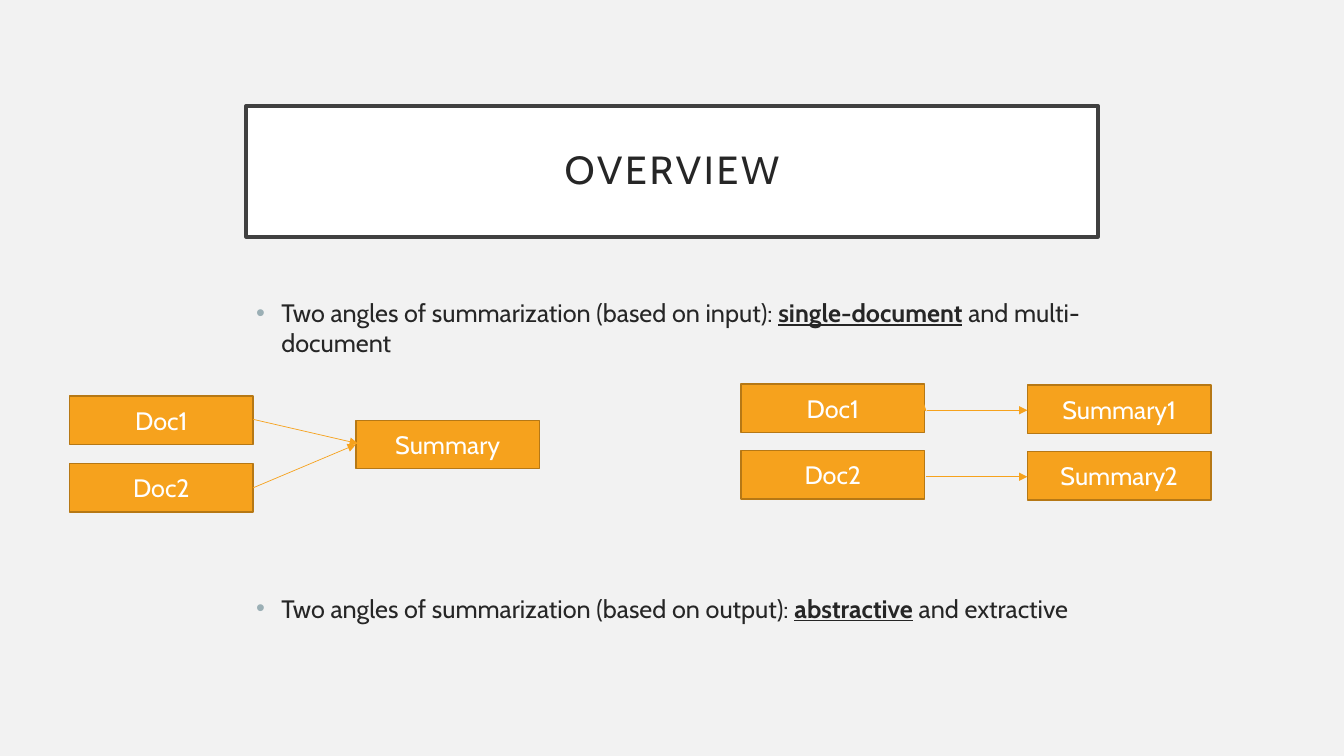
from dataclasses import dataclass

from lxml import etree
from pptx import Presentation
from pptx import util as u
from pptx.dml.color import RGBColor
from pptx.enum import shapes, text
from pptx.oxml import ns


@dataclass(frozen=True)
class Theme:
    font: str = "Cabin"
    background: str = "F2F2F2"
    panel: str = "FFFFFF"
    frame: str = "404040"
    ink: str = "262626"
    bullet: str = "9BAFB5"
    accent: str = "F6A21D"
    accent_edge: str = "B67815"
    box_text: str = "FFFFFF"
    title_size: int = 28
    text_size: int = 18


THEME = Theme()
BOX_WIDTH, BOX_HEIGHT = 1.82, 0.48


def rgb(value):
    return RGBColor.from_string(value)


def place(shape, left, top, width, height):
    shape.left, shape.top = u.Inches(left), u.Inches(top)
    shape.width, shape.height = u.Inches(width), u.Inches(height)


def paint(shape, fill, line, line_width):
    shape.fill.solid()
    shape.fill.fore_color.rgb = rgb(fill)
    shape.line.color.rgb = rgb(line)
    shape.line.width = u.Pt(line_width)


def add_run(paragraph, words, size, color, strong=False):
    run = paragraph.add_run()
    run.text = words
    run.font.name = THEME.font
    run.font.size = u.Pt(size)
    run.font.color.rgb = rgb(color)
    run.font.bold = run.font.underline = strong
    return run


def set_title(slide, words):
    title = slide.shapes.title
    place(title, 2.44, 1.05, 8.45, 1.3)
    paint(title, THEME.panel, THEME.frame, 2.5)
    frame = title.text_frame
    frame.auto_size = text.MSO_AUTO_SIZE.NONE
    frame.vertical_anchor = text.MSO_ANCHOR.MIDDLE
    frame.margin_left = frame.margin_right = u.Inches(0.2)
    frame.margin_top = frame.margin_bottom = u.Inches(0.2)
    paragraph = frame.paragraphs[0]
    paragraph.alignment = text.PP_ALIGN.CENTER
    paragraph.line_spacing = 0.9
    run = add_run(paragraph, words, THEME.title_size, THEME.ink)
    run.font._element.set("spc", "200")


def set_bullet(paragraph):
    properties = paragraph._p.get_or_add_pPr()
    properties.set("marL", str(u.Inches(0.25)))
    properties.set("indent", str(u.Inches(-0.25)))
    color = etree.SubElement(properties, ns.qn("a:buClr"))
    etree.SubElement(color, ns.qn("a:srgbClr"), val=THEME.bullet)
    etree.SubElement(properties, ns.qn("a:buFont"), typeface="Arial")
    etree.SubElement(properties, ns.qn("a:buChar"), char="•")


def set_body(slide, items):
    body = slide.placeholders[1]
    place(body, 2.44, 2.9, 8.45, 3.39)
    frame = body.text_frame
    frame.auto_size = text.MSO_AUTO_SIZE.NONE
    frame.vertical_anchor = text.MSO_ANCHOR.TOP
    for index, (space_before, before, strong, after) in enumerate(items):
        paragraph = frame.add_paragraph() if index else frame.paragraphs[0]
        paragraph.space_before = u.Pt(space_before)
        set_bullet(paragraph)
        for words in (before, strong, after):
            add_run(paragraph, words, THEME.text_size, THEME.ink, words == strong)


def add_box(slide, label, left, top):
    box = slide.shapes.add_shape(
        shapes.MSO_SHAPE.RECTANGLE, u.Inches(left), u.Inches(top),
        u.Inches(BOX_WIDTH), u.Inches(BOX_HEIGHT))
    box.shadow.inherit = False
    paint(box, THEME.accent, THEME.accent_edge, 1)
    box.text_frame.vertical_anchor = text.MSO_ANCHOR.MIDDLE
    paragraph = box.text_frame.paragraphs[0]
    paragraph.alignment = text.PP_ALIGN.CENTER
    add_run(paragraph, label, THEME.text_size, THEME.box_text)


def add_arrow(slide, start, end):
    arrow = slide.shapes.add_connector(
        shapes.MSO_CONNECTOR.STRAIGHT, *(u.Inches(value) for value in start + end))
    arrow.line.color.rgb = rgb(THEME.accent)
    arrow.line.width = u.Pt(0.5)
    etree.SubElement(arrow.line._get_or_add_ln(), ns.qn("a:tailEnd"), type="triangle")
    etree.SubElement(arrow._element.spPr, ns.qn("a:effectLst"))


def main():
    presentation = Presentation()
    presentation.slide_width = u.Inches(13.33)
    presentation.slide_height = u.Inches(7.5)
    slide = presentation.slides.add_slide(presentation.slide_layouts[1])
    slide.background.fill.solid()
    slide.background.fill.fore_color.rgb = rgb(THEME.background)

    set_title(slide, "OVERVIEW")
    set_body(slide, [
        (10, "Two angles of summarization (based on input): ",
         "single-document", " and multi-document"),
        (168, "Two angles of summarization (based on output): ",
         "abstractive", " and extractive"),
    ])

    for label, left, top in [
        ("Doc1", 0.69, 3.93), ("Doc2", 0.69, 4.6), ("Summary", 3.53, 4.17),
        ("Doc1", 7.35, 3.81), ("Doc2", 7.35, 4.47),
        ("Summary1", 10.19, 3.82), ("Summary2", 10.19, 4.48),
    ]:
        add_box(slide, label, left, top)

    for start, end in [
        ((2.51, 4.16), (3.55, 4.4)), ((2.51, 4.84), (3.53, 4.41)),
        ((9.17, 4.06), (9.19, 4.08)), ((9.19, 4.07), (10.19, 4.07)),
        ((9.18, 4.73), (10.19, 4.73)),
    ]:
        add_arrow(slide, start, end)

    presentation.save("out.pptx")


main()
